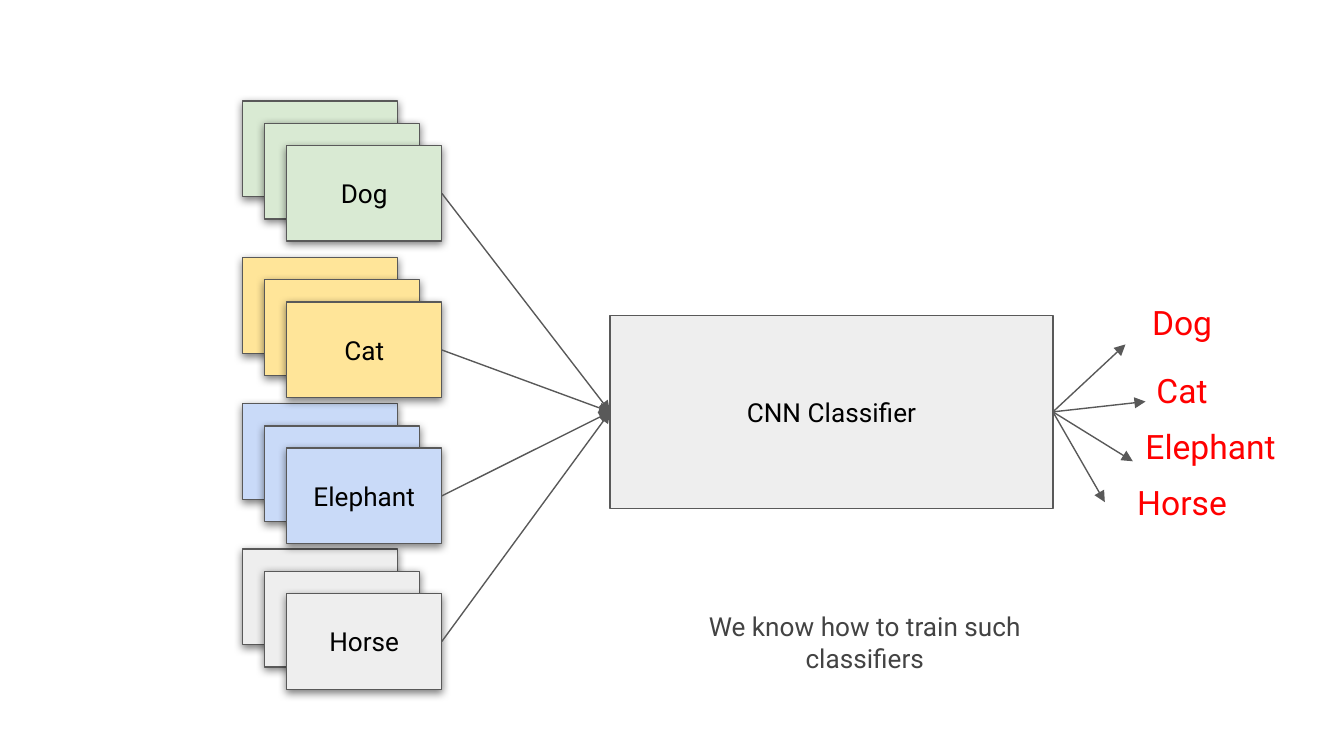
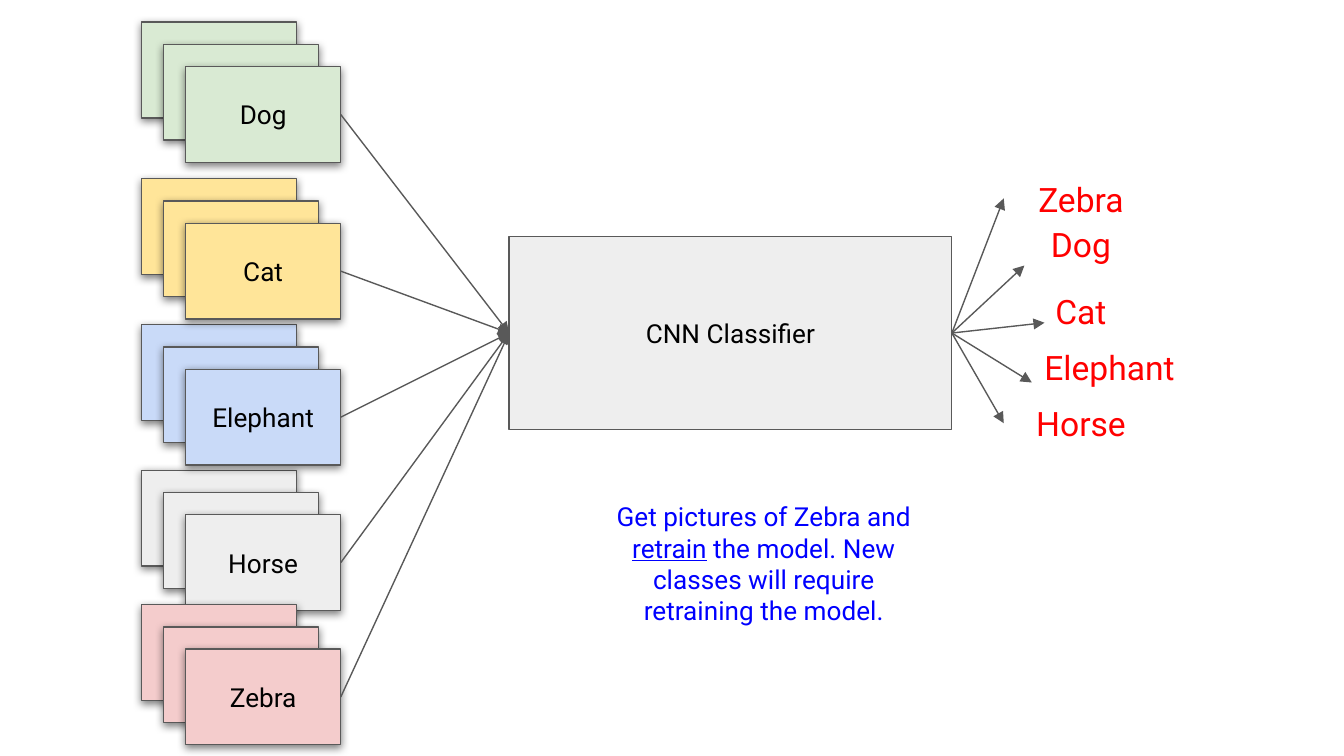
from dataclasses import dataclass

from lxml import etree
from pptx import Presentation
from pptx.dml.color import RGBColor
from pptx.enum.shapes import MSO_CONNECTOR, MSO_SHAPE
from pptx.enum.text import MSO_ANCHOR, PP_ALIGN
from pptx.oxml.ns import qn
from pptx.util import Cm, Pt

RECTANGLE = MSO_SHAPE.RECTANGLE
STRAIGHT = MSO_CONNECTOR.STRAIGHT
MIDDLE = MSO_ANCHOR.MIDDLE
CENTER, RIGHT = PP_ALIGN.CENTER, PP_ALIGN.RIGHT
LEFT_SIDE, RIGHT_SIDE = 1, 3
BLANK_LAYOUT = 6


@dataclass(frozen=True)
class Theme:
    font: str = "Roboto"
    body_size: int = 14
    output_size: int = 18
    line_width: float = 0.75
    line: str = "595959"
    text: str = "000000"
    output: str = "FF0000"
    note: str = "434343"
    highlight: str = "0000FF"
    classifier: str = "EEEEEE"
    dog: str = "D9EAD3"
    cat: str = "FFE599"
    elephant: str = "C9DAF8"
    horse: str = "EEEEEE"
    zebra: str = "F4CCCC"


@dataclass(frozen=True)
class AnimalClass:
    """One class; its lengths are cm from the diagram's corner."""
    name: str
    fill: str
    stack_top: float
    output_top: float
    arrow_tip: tuple
    output_width: float = 2.92
    output_align: PP_ALIGN = CENTER


THEME = Theme()
FRAME_FORMAT = {
    "word_wrap": True,
    "vertical_anchor": MIDDLE,
    **{f"margin_{side}": Cm(0.25) for side in ("left", "top", "right", "bottom")},
}

CARD_WIDTH, CARD_HEIGHT = 2.93, 1.81
CARD_STEP = 0.42
CARDS_PER_STACK = 3
CLASSIFIER_BOX = (6.95, 4.05, 8.37, 3.65)
OUTPUT_LEFT = 16.3
CAPTION_BOX = (8.5, 8.92, 6.53, 2.62)

KNOWN_CLASSES = [
    AnimalClass("Dog", THEME.dog, 0, 3.28, (16.69, 4.6)),
    AnimalClass("Cat", THEME.cat, 2.96, 4.55, (17.07, 5.68)),
    AnimalClass("Elephant", THEME.elephant, 5.72, 5.61, (16.83, 6.81), 3.48, RIGHT),
    AnimalClass("Horse", THEME.horse, 8.47, 6.67, (16.3, 7.58)),
]
NEW_CLASSES = [
    AnimalClass("Zebra", THEME.zebra, 11.01, 2.43, (16.3, 3.33)),
]


def place(origin, box):
    """Turn a cm box relative to origin into slide lengths."""
    left, top, width, height = box
    return Cm(origin[0] + left), Cm(origin[1] + top), Cm(width), Cm(height)


def write(shape, runs, size, color, align=CENTER):
    """Fill the shape with one paragraph of (text, underlined) runs."""
    frame = shape.text_frame
    for attribute, value in FRAME_FORMAT.items():
        setattr(frame, attribute, value)
    paragraph = frame.paragraphs[0]
    paragraph.alignment = align
    for text, underlined in runs:
        run = paragraph.add_run()
        run.text = text
        font_format = {"name": THEME.font, "size": Pt(size), "underline": underlined}
        for attribute, value in font_format.items():
            setattr(run.font, attribute, value)
        run.font.color.rgb = RGBColor.from_string(color)


def style_line(line):
    line.color.rgb = RGBColor.from_string(THEME.line)
    line.width = Pt(THEME.line_width)


def add_box(slide, origin, box, fill):
    shape = slide.shapes.add_shape(RECTANGLE, *place(origin, box))
    shape.shadow.inherit = False
    shape.fill.solid()
    shape.fill.fore_color.rgb = RGBColor.from_string(fill)
    style_line(shape.line)
    return shape


def add_text(slide, origin, box, runs, size, color, align=CENTER):
    textbox = slide.shapes.add_textbox(*place(origin, box))
    write(textbox, runs, size, color, align)


def cast_shadow(shape):
    effects = shape._element.spPr.find(qn("a:effectLst"))
    shadow = etree.SubElement(effects, qn("a:outerShdw"), blurRad=str(Pt(4.5)),
                              dist=str(Pt(1.5)), dir="5400000", algn="bl",
                              rotWithShape="0")
    color = etree.SubElement(shadow, qn("a:srgbClr"), val="000000")
    etree.SubElement(color, qn("a:alpha"), val="50000")


def add_arrow(slide, start_shape, tip=(0, 0), end_shape=None):
    """Arrow from the right side of a shape to a point or another shape's left side."""
    arrow = slide.shapes.add_connector(STRAIGHT, 0, 0, *map(Cm, tip))
    arrow.begin_connect(start_shape, RIGHT_SIDE)
    if end_shape is not None:
        arrow.end_connect(end_shape, LEFT_SIDE)
    style_line(arrow.line)
    properties = arrow._element.spPr
    etree.SubElement(properties.find(qn("a:ln")), qn("a:tailEnd"), type="triangle")
    etree.SubElement(properties, qn("a:effectLst"))


def add_card_stacks(slide, origin, animals):
    """Draw the stacks layer by layer and return the labelled front cards."""
    for layer in range(CARDS_PER_STACK):
        shift = layer * CARD_STEP
        cards = []
        for animal in animals:
            box = (shift, animal.stack_top + shift, CARD_WIDTH, CARD_HEIGHT)
            card = add_box(slide, origin, box, animal.fill)
            cast_shadow(card)
            cards.append(card)
    for card, animal in zip(cards, animals):
        write(card, [(animal.name, None)], THEME.body_size, THEME.text)
    return cards


def add_outputs(slide, origin, classifier, animals):
    for animal in animals:
        box = (OUTPUT_LEFT, animal.output_top, animal.output_width, CARD_HEIGHT)
        add_text(slide, origin, box, [(animal.name, None)], THEME.output_size,
                 THEME.output, animal.output_align)
        tip = [start + offset for start, offset in zip(origin, animal.arrow_tip)]
        add_arrow(slide, classifier, tip=tip)


def add_classifier_slide(deck, origin, class_groups, caption, caption_color):
    slide = deck.slides.add_slide(deck.slide_layouts[BLANK_LAYOUT])
    classifier = add_box(slide, origin, CLASSIFIER_BOX, THEME.classifier)
    write(classifier, [("CNN Classifier", None)], THEME.body_size, THEME.text)
    for animals in class_groups:
        for card in add_card_stacks(slide, origin, animals):
            add_arrow(slide, card, end_shape=classifier)
        add_outputs(slide, origin, classifier, animals)
    add_text(slide, origin, CAPTION_BOX, caption, THEME.body_size, caption_color)


def main():
    deck = Presentation()
    deck.slide_width, deck.slide_height = Cm(25.4), Cm(14.29)
    add_classifier_slide(
        deck, (4.58, 1.91), [KNOWN_CLASSES],
        [("We know how to train such classifiers", None)], THEME.note)
    add_classifier_slide(
        deck, (2.67, 0.42), [KNOWN_CLASSES, NEW_CLASSES],
        [("Get pictures of Zebra and ", None), ("retrain", True),
         (" the model. New classes will require retraining the model.", None)],
        THEME.highlight)
    deck.save("out.pptx")


if __name__ == "__main__":
    main()
